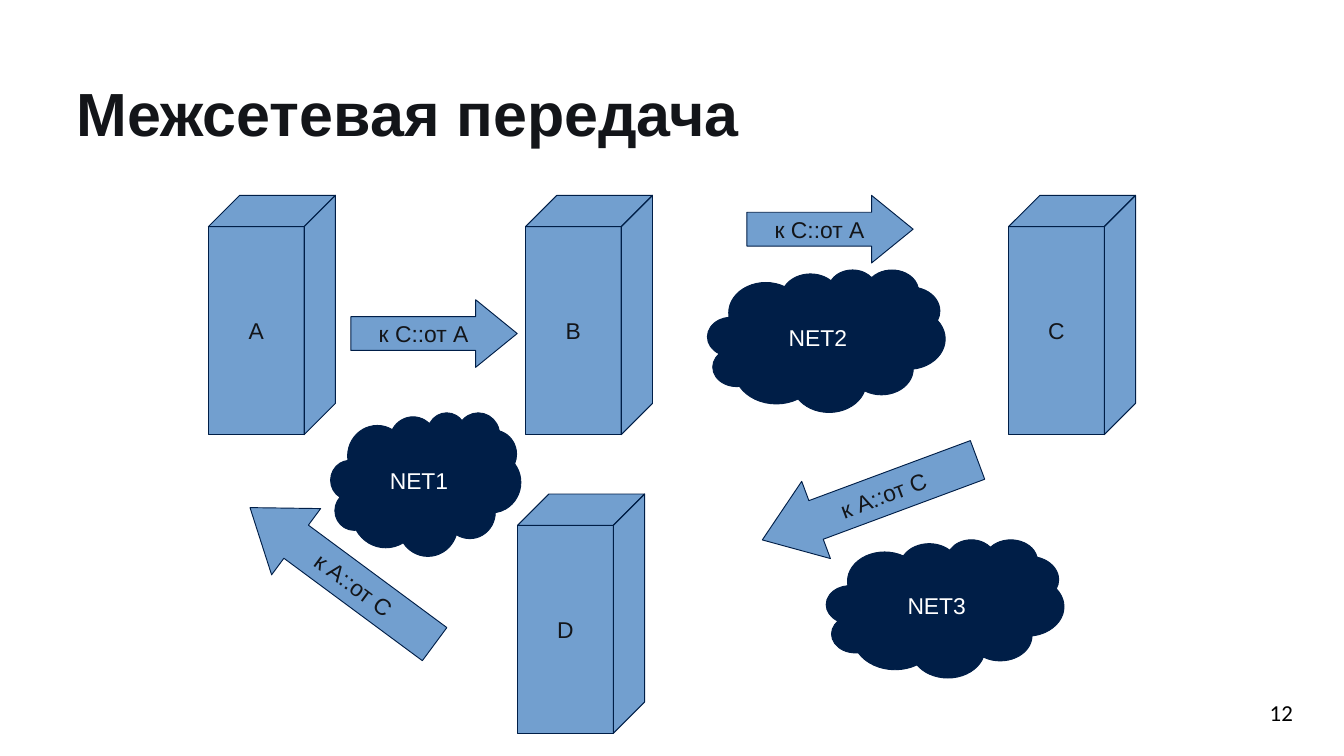
from dataclasses import dataclass

import pptx
import pptx.dml.color
import pptx.enum.shapes
import pptx.enum.text
import pptx.util

Cm = pptx.util.Cm
Pt = pptx.util.Pt
RGBColor = pptx.dml.color.RGBColor
PRESET = pptx.enum.shapes.MSO_SHAPE
ALIGN = pptx.enum.text.PP_ALIGN
ANCHOR = pptx.enum.text.MSO_ANCHOR


@dataclass(frozen=True)
class Theme:
    """Colours, fonts and type sizes of the slide."""
    ink: RGBColor = RGBColor(0x13, 0x15, 0x19)
    navy: RGBColor = RGBColor(0x00, 0x1E, 0x47)
    blue: RGBColor = RGBColor(0x72, 0x9F, 0xCF)
    white: RGBColor = RGBColor(0xFF, 0xFF, 0xFF)
    black: RGBColor = RGBColor(0x00, 0x00, 0x00)
    font: str = "Arial"
    number_font: str = "Calibri"
    title_size: Pt = Pt(48)
    label_size: Pt = Pt(18)
    outline: Pt = Pt(0)


THEME = Theme()
NODE_SIZE = (Cm(3.53), Cm(6.65))
NODE_DEPTH = Cm(0.87)
ROW_TOP = 5.43
NODES = [("A", 5.79, ROW_TOP), ("B", 14.6, ROW_TOP), ("D", 14.38, 13.73), ("C", 28.02, ROW_TOP)]
NETWORKS = [
    ("NET1", 9.19, 11.46, 5.28, 3.99),
    ("NET2", 19.66, 7.49, 6.6, 3.96),
    ("NET3", 22.96, 14.99, 6.6, 3.84),
]
REQUEST = ("к C::от A", PRESET.RIGHT_ARROW, Cm(4.62), Cm(1.88))
REPLY = ("к A::от C", PRESET.LEFT_ARROW, Cm(6.38), Cm(2.29))
PACKETS = [
    (REQUEST, 9.75, 8.33, 0),
    (REQUEST, 20.75, ROW_TOP, 0),
    (REPLY, 20.98, 12.75, 339.6),
    (REPLY, 6.32, 14.86, 36.5),
]


def write(shape, text, color, size=THEME.label_size, font=THEME.font, align=ALIGN.CENTER,
          anchor=ANCHOR.MIDDLE, wrap=False, bold=False):
    """Put one formatted paragraph into a shape and return it."""
    frame = shape.text_frame
    frame.text = text
    frame.word_wrap = wrap
    frame.vertical_anchor = anchor
    paragraph = frame.paragraphs[0]
    paragraph.alignment = align
    face = paragraph.runs[0].font
    face.name, face.size, face.bold = font, size, bold
    face.color.rgb = color
    return paragraph


def paint(shape, fill):
    """Give a shape a flat fill and a navy hairline."""
    shape.shadow.inherit = False
    shape.fill.solid()
    shape.fill.fore_color.rgb = fill
    shape.line.color.rgb = THEME.navy
    shape.line.width = THEME.outline


def add_title(slide, left, top, width, height, text):
    """Add the slide heading."""
    heading = slide.shapes.add_textbox(left, top, width, height)
    paragraph = write(heading, text, THEME.ink, THEME.title_size, align=ALIGN.LEFT,
                      anchor=ANCHOR.TOP, wrap=True, bold=True)
    paragraph.line_spacing = 0.9


def add_page_number(slide, left, top, width, height, text):
    """Add the page number."""
    number = slide.shapes.add_textbox(left, top, width, height)
    write(number, text, THEME.black, font=THEME.number_font, align=ALIGN.RIGHT, wrap=True)


def add_node(slide, left, top, width, height, name):
    """Draw a network node as a block with its name on the front face."""
    right, bottom = left + width, top + height
    front_right, front_top = right - NODE_DEPTH, top + NODE_DEPTH
    back_left, back_bottom = left + NODE_DEPTH, bottom - NODE_DEPTH
    faces = [
        [(left, front_top), (front_right, front_top), (front_right, bottom), (left, bottom)],
        [(left, front_top), (back_left, top), (right, top), (front_right, front_top)],
        [(front_right, front_top), (right, top), (right, back_bottom), (front_right, bottom)],
    ]
    outline = slide.shapes.build_freeform(*faces[0][0])
    for index, (corner, *others) in enumerate(faces):
        if index:
            outline.move_to(*corner)
        outline.add_line_segments(others, close=True)
    node = outline.convert_to_shape()
    paint(node, THEME.blue)
    write(node, name, THEME.ink)
    node.text_frame.margin_right += NODE_DEPTH
    node.text_frame.margin_top += NODE_DEPTH


def add_network(slide, left, top, width, height, name):
    """Draw a network as a labelled cloud."""
    cloud = slide.shapes.add_shape(PRESET.CLOUD, left, top, width, height)
    paint(cloud, THEME.navy)
    write(cloud, name, THEME.white)


def add_packet(slide, left, top, width, height, label, direction, rotation):
    """Draw a packet in transit as a labelled arrow whose head takes a quarter of it."""
    packet = slide.shapes.add_shape(direction, left, top, width, height)
    packet.adjustments[0] = 0.5
    packet.adjustments[1] = 0.25 * width / height
    packet.rotation = rotation
    paint(packet, THEME.blue)
    write(packet, label, THEME.ink)


def add_diagram(slide):
    """Place the nodes, networks and packets."""
    for name, left, top in NODES:
        add_node(slide, Cm(left), Cm(top), *NODE_SIZE, name)
    for name, *box in NETWORKS:
        add_network(slide, *map(Cm, box), name)
    for (label, direction, width, height), left, top, rotation in PACKETS:
        add_packet(slide, Cm(left), Cm(top), width, height, label, direction, rotation)


def main():
    """Build and save the presentation."""
    deck = pptx.Presentation()
    deck.slide_width, deck.slide_height = Cm(37.34), Cm(21.01)
    slide = deck.slides.add_slide(deck.slide_layouts[6])
    add_diagram(slide)
    add_title(slide, Cm(1.88), Cm(2.21), Cm(33.6), Cm(3.51), "Межсетевая передача")
    add_page_number(slide, Cm(32.97), Cm(19.25), Cm(3.2), Cm(1.12), "12")
    deck.save("out.pptx")


if __name__ == "__main__":
    main()
